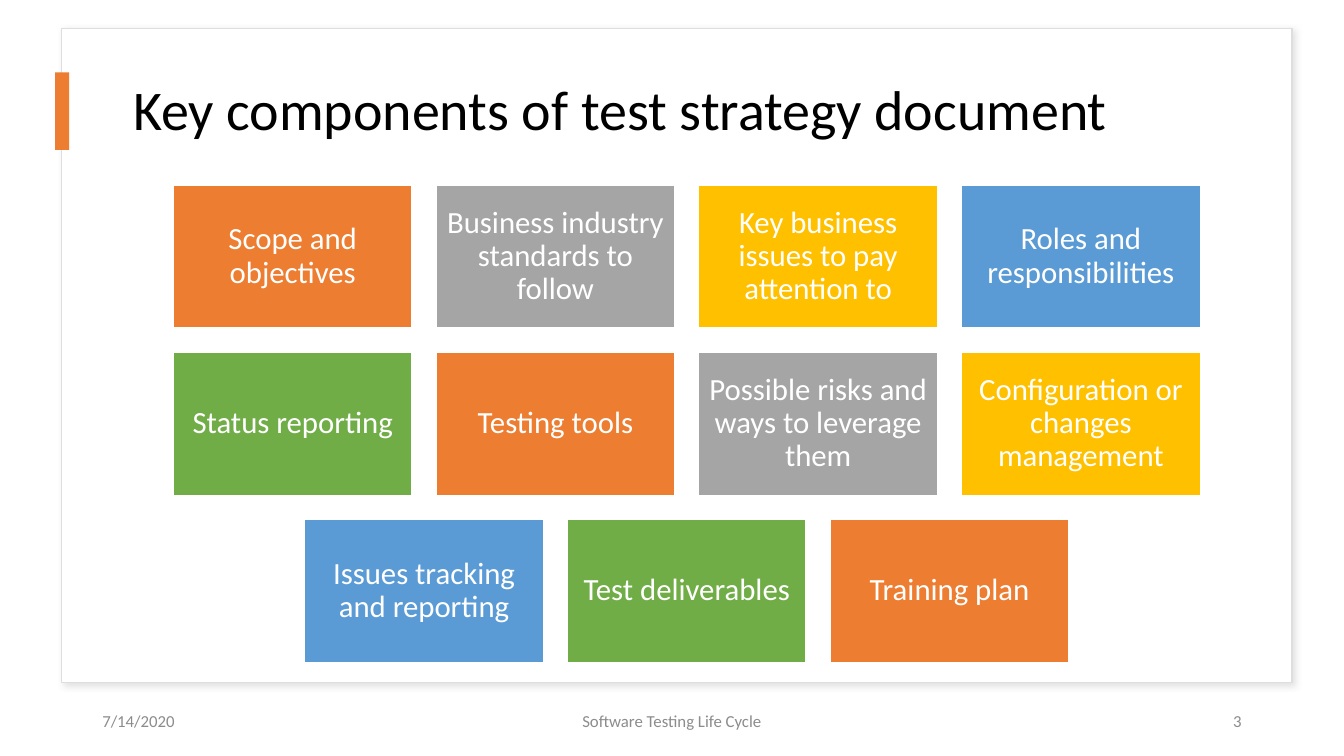
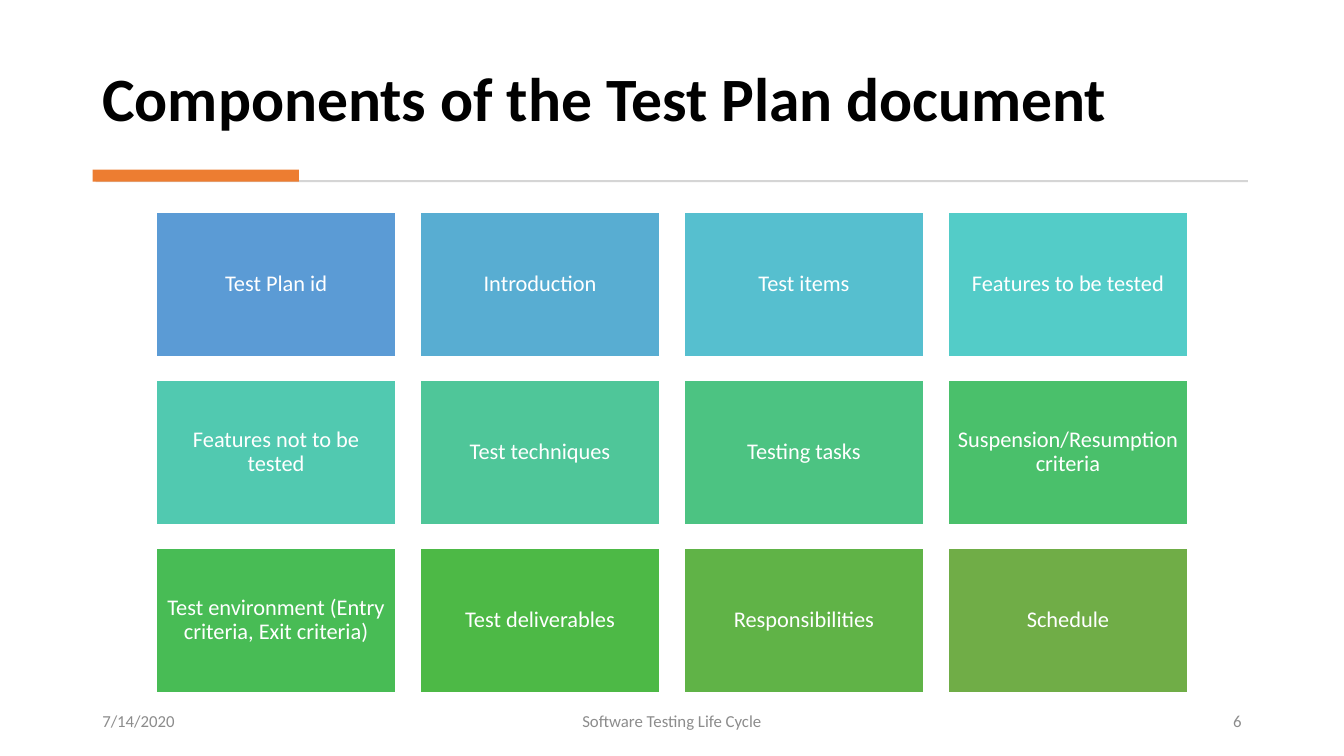
from lxml import etree
from pptx import Presentation
from pptx.dml.color import RGBColor
from pptx.enum import shapes, text
from pptx.oxml import ns
from pptx.util import Pt

WHITE = RGBColor(0xFF, 0xFF, 0xFF)
BLACK = RGBColor(0, 0, 0)
ORANGE = RGBColor(0xED, 0x7D, 0x31)
GRAY = RGBColor(0xA5, 0xA5, 0xA5)
GOLD = RGBColor(0xFF, 0xC0, 0x00)
BLUE = RGBColor(0x5B, 0x9B, 0xD5)
GREEN = RGBColor(0x70, 0xAD, 0x47)
CARD_BORDER = RGBColor(0xDE, 0xDE, 0xDE)
CARD_SHADOW = RGBColor(0xC5, 0xC3, 0xC3)
RULE = RGBColor(0xD5, 0xD5, 0xD5)
FOOTER = RGBColor(0x8C, 0x8C, 0x8C)
ACCENTS = [ORANGE, GRAY, GOLD, BLUE, GREEN]
BLUE_TO_GREEN = [BLUE] + [
    RGBColor.from_string(code)
    for code in (
        "58ADD2", "56BFCF", "53CCC8", "51C9B0", "4FC699",
        "4CC382", "4AC06B", "48BC55", "4DB946", "60B347",
    )
] + [GREEN]

LEFT = text.PP_ALIGN.LEFT
CENTER = text.PP_ALIGN.CENTER
RIGHT = text.PP_ALIGN.RIGHT
MIDDLE = text.MSO_ANCHOR.MIDDLE
BOTTOM = text.MSO_ANCHOR.BOTTOM


class Deck:
    font = "Calibri"
    columns = 4

    def __init__(self):
        self.presentation = Presentation()
        self.presentation.slide_width = Pt(960)
        self.presentation.slide_height = Pt(540)
        self.slide = None

    def new_slide(self, number):
        layout = self.presentation.slide_layouts[6]
        self.slide = self.presentation.slides.add_slide(layout)
        footers = [
            (66, 216, "7/14/2020", LEFT),
            (318, 324, "Software Testing Life Cycle", CENTER),
            (678, 216, str(number), RIGHT),
        ]
        for left, width, words, align in footers:
            self.label(left, 500.4, width, 28.8, words, 12, FOOTER, align)

    def set_text(self, shape, words, size, color, align, anchor, bold=False, spacing=0.9):
        frame = shape.text_frame
        frame.text = words
        frame.word_wrap = True
        frame.vertical_anchor = anchor
        paragraph = frame.paragraphs[0]
        paragraph.alignment = align
        paragraph.line_spacing = spacing
        font = paragraph.runs[0].font
        font.name = self.font
        font.size = Pt(size)
        font.bold = bold
        font.color.rgb = color

    def label(self, left, top, width, height, words, size, color, align):
        box = self.slide.shapes.add_textbox(Pt(left), Pt(top), Pt(width), Pt(height))
        self.set_text(box, words, size, color, align, MIDDLE, spacing=1.0)

    def title(self, left, top, width, words, size, anchor, bold=False):
        box = self.slide.shapes.add_textbox(Pt(left), Pt(top), Pt(width), Pt(80))
        self.set_text(box, words, size, BLACK, LEFT, anchor, bold)

    def rectangle(self, left, top, width, height, fill, border=None):
        shape = self.slide.shapes.add_shape(
            shapes.MSO_SHAPE.RECTANGLE, Pt(left), Pt(top), Pt(width), Pt(height)
        )
        shape.shadow.inherit = False
        shape.fill.solid()
        shape.fill.fore_color.rgb = fill
        if border is None:
            shape.line.fill.background()
        else:
            shape.line.color.rgb = border
            shape.line.width = Pt(1)
        return shape

    def card(self, left, top, width, height):
        shape = self.rectangle(left, top, width, height, WHITE, CARD_BORDER)
        effects = shape._element.spPr.find(ns.qn("a:effectLst"))
        shadow = etree.SubElement(
            effects, ns.qn("a:outerShdw"),
            blurRad=str(Pt(4)), dist=str(Pt(3)), dir=str(45 * 60000),
            algn="tl", rotWithShape="0",
        )
        color = etree.SubElement(shadow, ns.qn("a:srgbClr"), val=str(CARD_SHADOW))
        etree.SubElement(color, ns.qn("a:alpha"), val="50000")

    def tile(self, left, top, width, height, words, size, fill):
        shape = self.rectangle(left, top, width, height, fill, WHITE)
        self.set_text(shape, words, size, WHITE, CENTER, MIDDLE)
        frame = shape.text_frame
        inset = Pt(0.3 * size)
        frame.margin_left = frame.margin_right = inset
        frame.margin_top = frame.margin_bottom = inset

    def tile_grid(self, center, top, width, labels, size, colors):
        height = 0.6 * width
        gap = 0.1 * width
        for index, words in enumerate(labels):
            row, column = divmod(index, self.columns)
            count = min(self.columns, len(labels) - row * self.columns)
            start = center - (count * (width + gap) - gap) / 2
            self.tile(
                start + column * (width + gap), top + row * (height + gap),
                width, height, words, size, colors[index % len(colors)],
            )


STRATEGY_PARTS = [
    "Scope and objectives",
    "Business industry standards to follow",
    "Key business issues to pay attention to",
    "Roles and responsibilities",
    "Status reporting",
    "Testing tools",
    "Possible risks and ways to leverage them",
    "Configuration or changes management",
    "Issues tracking and reporting",
    "Test deliverables",
    "Training plan",
]
PLAN_PARTS = [
    "Test Plan id",
    "Introduction",
    "Test items",
    "Features to be tested",
    "Features not to be tested",
    "Test techniques",
    "Testing tasks",
    "Suspension/Resumption criteria",
    "Test environment (Entry criteria, Exit criteria)",
    "Test deliverables",
    "Responsibilities",
    "Schedule",
]

deck = Deck()

deck.new_slide(3)
deck.card(44, 20.2, 879, 467.3)
deck.title(88, 40, 806, "Key components of test strategy document", 40, MIDDLE)
deck.rectangle(39.4, 51.8, 10, 55.4, ORANGE)
deck.tile_grid(490.6, 132, 170.6, STRATEGY_PARTS, 22, ACCENTS)

deck.new_slide(6)
deck.title(66, 20, 827, "Components of the Test Plan\u00a0document", 44, BOTTOM, bold=True)
deck.rectangle(68.4, 128.7, 823, 1.4, RULE)
deck.rectangle(66.2, 121.2, 147.4, 8.6, ORANGE)
deck.tile_grid(480, 151.9, 171.4, PLAN_PARTS, 16, BLUE_TO_GREEN)

deck.presentation.save("out.pptx")
